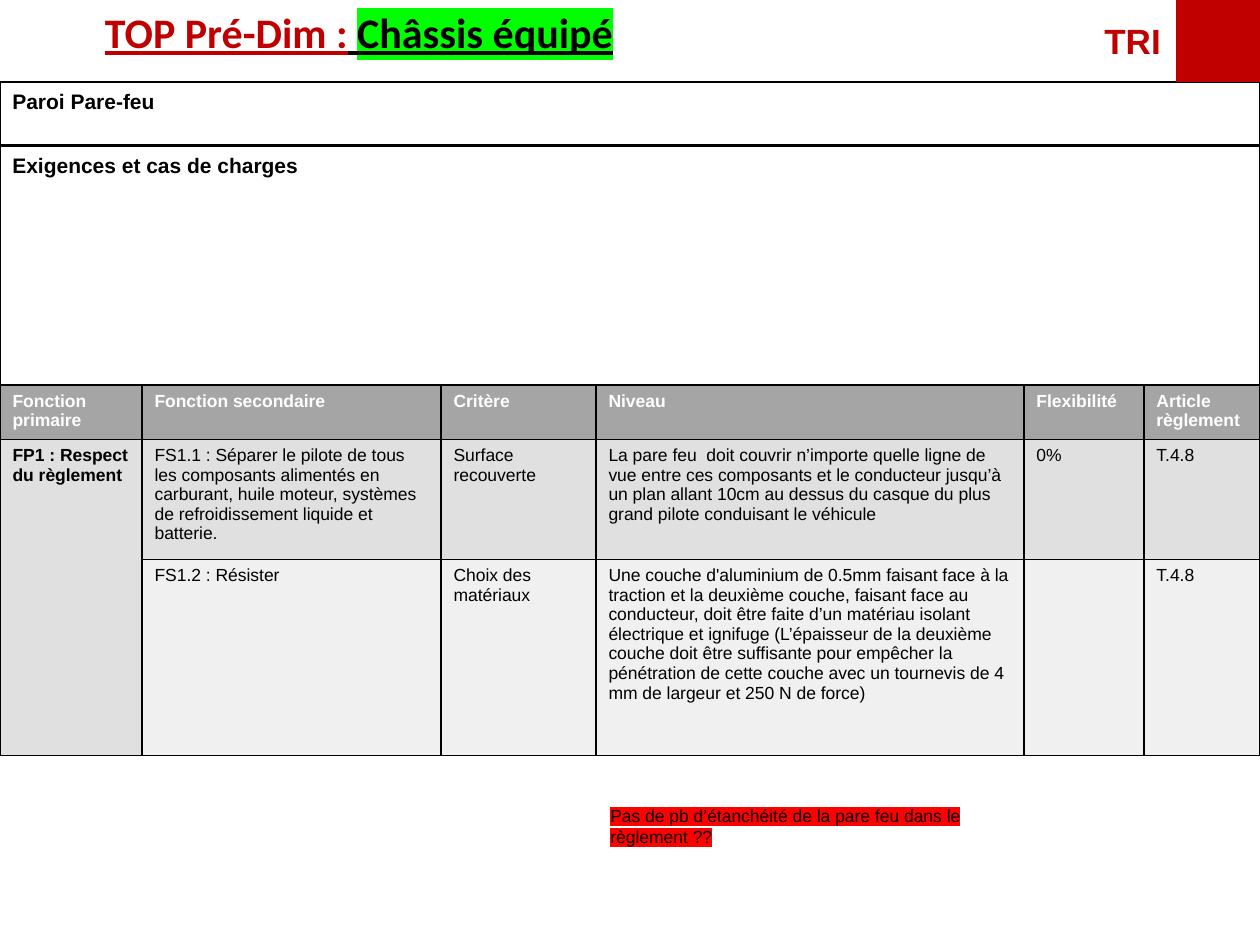
from lxml import etree
from pptx import Presentation
from pptx.dml.color import RGBColor
from pptx.enum.shapes import MSO_SHAPE as Shape
from pptx.enum.text import MSO_ANCHOR as Anchor, MSO_AUTO_SIZE as Fit, PP_ALIGN as Align
from pptx.oxml.ns import qn
from pptx.util import Emu, Pt

SCALE = 914400 / 126
RED, BLACK, WHITE = "C00000", "000000", "FFFFFF"

COLS = [142, 299, 155, 428, 120, 116]
ROWS = [47, 120, 196]
FILLS = ["A5A5A5", "E0E0E0", "F0F0F0"]
CELLS = [
    ["Fonction primaire", "Fonction secondaire", "Critère", "Niveau",
     "Flexibilité", "Article règlement"],
    ["FP1 : Respect du règlement",
     "FS1.1 : Séparer le pilote de tous les composants alimentés en carburant, "
     "huile moteur, systèmes de refroidissement liquide et batterie.",
     "Surface recouverte",
     "La pare feu  doit couvrir n’importe quelle ligne de vue entre ces "
     "composants et le conducteur jusqu’à un plan allant 10cm au dessus du "
     "casque du plus grand pilote conduisant le véhicule",
     "0%", "T.4.8"],
    ["", "FS1.2 : Résister", "Choix des matériaux",
     "Une couche d'aluminium de 0.5mm faisant face à la traction et la deuxième "
     "couche, faisant face au conducteur, doit être faite d’un matériau isolant "
     "électrique et ignifuge (L’épaisseur de la deuxième couche doit être "
     "suffisante pour empêcher la pénétration de cette couche avec un tournevis "
     "de 4 mm de largeur et 250 N de force)",
     "", "T.4.8"],
]


def px(n):
    return Emu(round(n * SCALE))


def rgb(code):
    return RGBColor.from_string(code)


def style(run, size, color, bold=False, face="Arial"):
    font = run.font
    font.size, font.bold, font.name = Pt(size), bold, face
    font.color.rgb = rgb(color)


def mark(run, color):
    """Highlight a run; the element has to follow its solid fill."""
    light = etree.Element(qn("a:highlight"))
    etree.SubElement(light, qn("a:srgbClr"), val=color)
    run.font._element.find(qn("a:solidFill")).addnext(light)


def add_title(slide):
    title = slide.shapes.title
    title.left, title.top, title.width, title.height = map(px, (0, 0, 718, 63))
    frame = title.text_frame
    frame.word_wrap, frame.auto_size = True, Fit.NONE
    frame.vertical_anchor = Anchor.TOP
    para = frame.paragraphs[0]
    para.alignment = Align.CENTER
    for text, color in (("TOP Pré-Dim :", RED), (" ", BLACK), ("Châssis équipé", BLACK)):
        run = para.add_run()
        run.text = text
        style(run, 24, color, True, "Calibri")
        run.font.underline = True
    mark(run, "00FF00")


def add_text(slide, box, text, size, color, bold=False, wrap=True):
    frame = slide.shapes.add_textbox(*map(px, box)).text_frame
    frame.word_wrap = wrap
    frame.text = text
    run = frame.paragraphs[0].runs[0]
    style(run, size, color, bold)
    return run


def add_rect(slide, box):
    rect = slide.shapes.add_shape(Shape.RECTANGLE, *map(px, box))
    rect.shadow.inherit = False
    return rect


def add_panel(slide, box, text):
    """Outlined box with a heading in its top left corner."""
    rect = add_rect(slide, box)
    rect.fill.background()
    rect.line.color.rgb = rgb(BLACK)
    rect.line.width = Pt(1)
    frame = rect.text_frame
    frame.vertical_anchor = Anchor.TOP
    frame.text = text
    para = frame.paragraphs[0]
    para.alignment = Align.LEFT
    style(para.runs[0], 12, BLACK, True)


def add_block(slide, box, color):
    rect = add_rect(slide, box)
    rect.fill.solid()
    rect.fill.fore_color.rgb = rgb(color)
    rect.line.fill.background()


def add_edges(cell):
    props = cell._tc.get_or_add_tcPr()
    for side in ("lnL", "lnR", "lnT", "lnB"):
        line = etree.SubElement(props, qn(f"a:{side}"), w=str(Pt(1)))
        fill = etree.SubElement(line, qn("a:solidFill"))
        etree.SubElement(fill, qn("a:srgbClr"), val=BLACK)


def add_grid(slide, left, top):
    table = slide.shapes.add_table(
        len(ROWS), len(COLS), *map(px, (left, top, sum(COLS), sum(ROWS)))).table
    for col, width in zip(table.columns, COLS):
        col.width = px(width)
    for r, (height, shade, texts) in enumerate(zip(ROWS, FILLS, CELLS)):
        table.rows[r].height = px(height)
        for c, text in enumerate(texts):
            cell = table.cell(r, c)
            add_edges(cell)
            cell.fill.solid()
            cell.fill.fore_color.rgb = rgb(shade)
            cell.text = text
            for run in cell.text_frame.paragraphs[0].runs:
                style(run, 10, BLACK if r else WHITE, r == 0 or c == 0)
    table.cell(1, 0).merge(table.cell(2, 0))


def main():
    deck = Presentation()
    deck.slide_width, deck.slide_height = px(1260), px(945)
    slide = deck.slides.add_slide(deck.slide_layouts[5])
    add_title(slide)
    add_panel(slide, (0, 82, 1260, 63), "Paroi Pare-feu")
    add_panel(slide, (0, 146, 1260, 239), "Exigences et cas de charges")
    add_text(slide, (1092, 13, 84, 55), "TRI", 20, RED, True, wrap=False)
    add_block(slide, (1176, 0, 84, 82), RED)
    add_grid(slide, 0, 385)
    note = add_text(slide, (598, 799, 426, 55),
                    "Pas de pb d’étanchéité de la pare feu dans le règlement ??",
                    10, BLACK)
    mark(note, "FF0000")
    deck.save("out.pptx")


if __name__ == "__main__":
    main()
